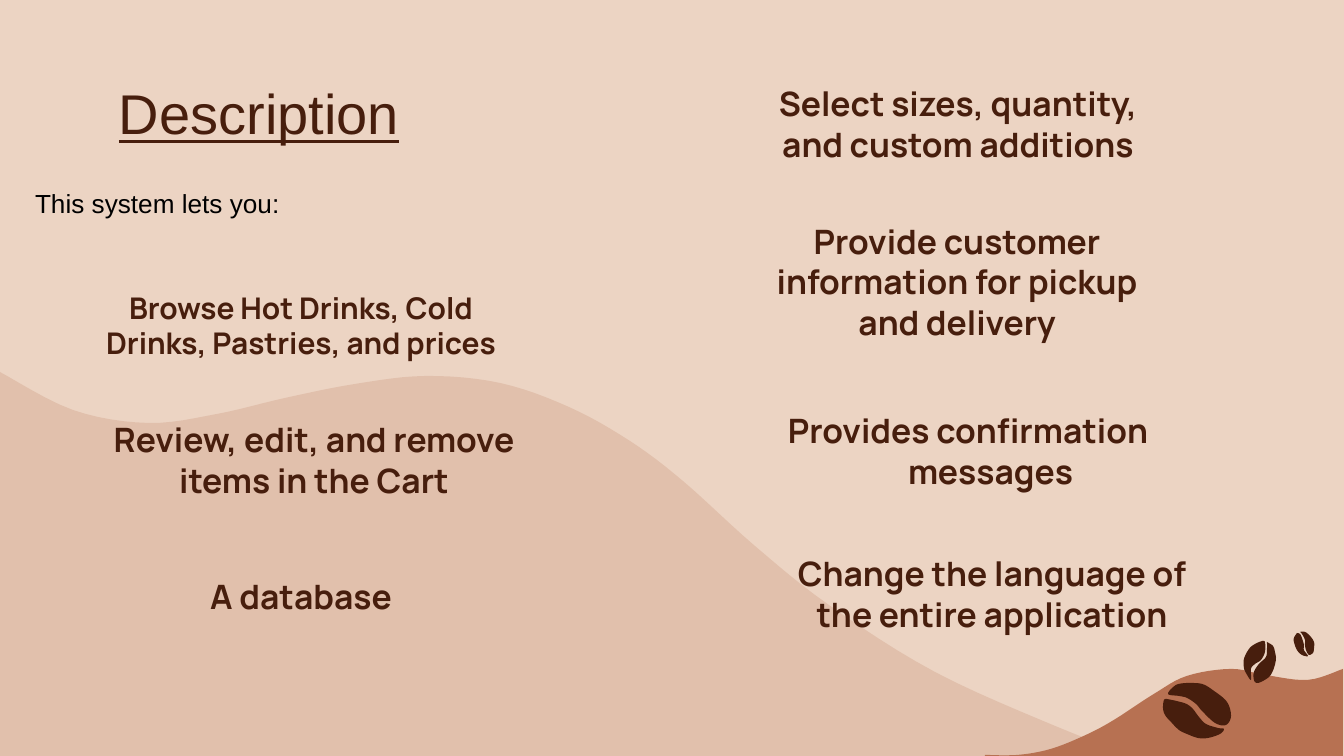
"""Build the coffee-themed description slide."""
from dataclasses import dataclass

from lxml.etree import SubElement
from pptx import Presentation
from pptx.dml.color import RGBColor as RGB
from pptx.enum.text import MSO_ANCHOR as ANCHOR, PP_ALIGN as ALIGN
from pptx.oxml.ns import qn
from pptx.slide import Slide
from pptx.util import Emu, Pt

SCALE = 914400 / 134.4
WIDTH, HEIGHT = 1344, 756
STEPS = 6
PAD = 13
LIFTED = 54
COLORS = {"cream": "ECD4C3", "clay": "B77152", "coffee": "471E0D", "black": "000000"}

Point = tuple[float, float]


@dataclass(frozen=True)
class Outline:
    curve: list[Point]
    corners: tuple[Point, ...] = ()
    color: str = "coffee"
    alpha: int = 100


@dataclass(frozen=True)
class Label:
    text: str
    left: int
    top: int
    width: int = 446
    height: int = 78
    size: int = 18
    font: str = "Manrope"
    color: str = "coffee"
    bold: bool = True
    underline: bool = False
    align: ALIGN = ALIGN.CENTER
    anchor: ANCHOR = ANCHOR.BOTTOM
    inset_top: int = PAD
    inset_bottom: int = PAD
    margin: int = 0
    indent: int = 0


WAVES = [
    Outline([(0, 372), (73, 410), (148, 423), (217, 414), (285, 398), (355, 384),
             (426, 376), (500, 383), (569, 407), (630, 441), (683, 481), (755, 546),
             (829, 605), (935, 672), (1060, 728), (1135, 756)],
            ((0, 756),), "clay", 20),
    Outline([(1343, 669), (1308, 680), (1265, 675), (1231, 669), (1187, 676),
             (1154, 694), (1114, 720), (1086, 735), (1051, 749), (1018, 755), (985, 755)],
            ((985, 756), (1343, 756)), "clay"),
]
BEAN_HALVES = [
    Outline([(1187, 683), (1202, 684), (1214, 691), (1227, 702), (1231, 716), (1226, 725),
             (1215, 723), (1202, 711), (1196, 704), (1187, 698), (1179, 696), (1168, 694),
             (1176, 685), (1187, 683)]),
    Outline([(1167, 699), (1184, 703), (1192, 708), (1199, 717), (1206, 724), (1218, 728),
             (1224, 729), (1220, 734), (1208, 738), (1198, 738), (1187, 734), (1179, 730),
             (1171, 722), (1165, 715), (1163, 708), (1164, 700), (1167, 699)]),
    Outline([(1267, 642), (1273, 646), (1275, 652), (1276, 659), (1274, 668), (1270, 676),
             (1263, 681), (1257, 683), (1254, 680), (1254, 672), (1259, 664), (1266, 657),
             (1267, 649), (1267, 642)]),
    Outline([(1262, 641), (1265, 642), (1265, 652), (1261, 660), (1255, 664), (1251, 669),
             (1251, 680), (1246, 673), (1244, 668), (1244, 659), (1249, 649), (1255, 644),
             (1262, 641)]),
    Outline([(1300, 632), (1305, 632), (1310, 636), (1314, 642), (1314, 649), (1313, 653),
             (1309, 655), (1306, 650), (1305, 645), (1305, 640), (1302, 634), (1300, 632)]),
    Outline([(1297, 633), (1300, 634), (1302, 638), (1304, 645), (1304, 650), (1308, 656),
             (1302, 655), (1297, 650), (1294, 642), (1294, 638), (1297, 633)]),
]
LABELS = [
    Label("Description", 106, 66, 1133, 85, 30, "Arial", bold=False, underline=True,
          align=ALIGN.LEFT, anchor=ANCHOR.TOP),
    Label("This system lets you:", 22, 180, 1169, 46, 14, "Arial", "black", bold=False,
          align=ALIGN.LEFT, anchor=ANCHOR.TOP, inset_top=7, inset_bottom=7),
    Label("Browse Hot Drinks, Cold Drinks, Pastries, and prices", 78, 337, size=16,
          inset_bottom=LIFTED),
    Label("Review, edit, and remove items in the Cart", 91, 476, inset_bottom=LIFTED),
    Label("A database", 78, 579, inset_bottom=LIFTED),
    Label("Select sizes, quantity, and custom additions", 735, 140, inset_bottom=LIFTED),
    Label("Provide customer information for pickup and delivery", 734, 318,
          inset_bottom=LIFTED),
    Label("Provides confirmation messages", 734, 426, margin=67, indent=-45),
    Label("Change the language of the entire application", 769, 569),
]


def px(value: float) -> Emu:
    """Turn pixels into EMU."""
    return Emu(round(value * SCALE))


def rgb(name: str) -> RGB:
    """Look up a colour by name."""
    return RGB.from_string(COLORS[name])


def spline(knots: list[Point]) -> list[Point]:
    """Sample a Catmull-Rom curve through the knots."""
    ends = [knots[0], *knots, knots[-1]]
    points = [knots[0]]
    for a, b, c, d in zip(ends, ends[1:], ends[2:], ends[3:]):
        for step in range(1, STEPS + 1):
            t = step / STEPS
            points.append(tuple(
                (2 * q + (r - p) * t + (2 * p - 5 * q + 4 * r - s) * t ** 2
                 + (3 * q - p - 3 * r + s) * t ** 3) / 2
                for p, q, r, s in zip(a, b, c, d)))
    return points


def draw_outline(slide: Slide, outline: Outline) -> None:
    """Draw a filled curved outline."""
    points = [(px(x), px(y)) for x, y in (*spline(outline.curve), *outline.corners)]
    builder = slide.shapes.build_freeform(*points[0])
    builder.add_line_segments(points[1:], close=True)
    sp = builder.convert_to_shape()
    sp.shadow.inherit = False
    sp.line.fill.background()
    sp.fill.solid()
    sp.fill.fore_color.rgb = rgb(outline.color)
    if outline.alpha < 100:
        color = sp.fill._xPr.find(".//" + qn("a:srgbClr"))
        SubElement(color, qn("a:alpha"), val=str(outline.alpha * 1000))


def draw_label(slide: Slide, label: Label) -> None:
    """Draw a text box holding one run."""
    box = map(px, (label.left, label.top, label.width, label.height))
    tf = slide.shapes.add_textbox(*box).text_frame
    tf.word_wrap = True
    tf.vertical_anchor = label.anchor
    tf.margin_left = tf.margin_right = px(PAD)
    tf.margin_top, tf.margin_bottom = px(label.inset_top), px(label.inset_bottom)
    p = tf.paragraphs[0]
    p.alignment = label.align
    if label.margin:
        pPr = p._p.get_or_add_pPr()
        pPr.set("marL", str(px(label.margin)))
        pPr.set("indent", str(px(label.indent)))
    r = p.add_run()
    r.text = label.text
    r.font.name, r.font.size = label.font, Pt(label.size)
    r.font.bold, r.font.underline = label.bold, label.underline
    r.font.color.rgb = rgb(label.color)


def main() -> None:
    """Build and save the slide."""
    prs = Presentation()
    prs.slide_width, prs.slide_height = px(WIDTH), px(HEIGHT)
    slide = prs.slides.add_slide(prs.slide_layouts[6])
    slide.background.fill.solid()
    slide.background.fill.fore_color.rgb = rgb("cream")
    for outline in WAVES + BEAN_HALVES:
        draw_outline(slide, outline)
    for label in LABELS:
        draw_label(slide, label)
    prs.save("out.pptx")


if __name__ == "__main__":
    main()
